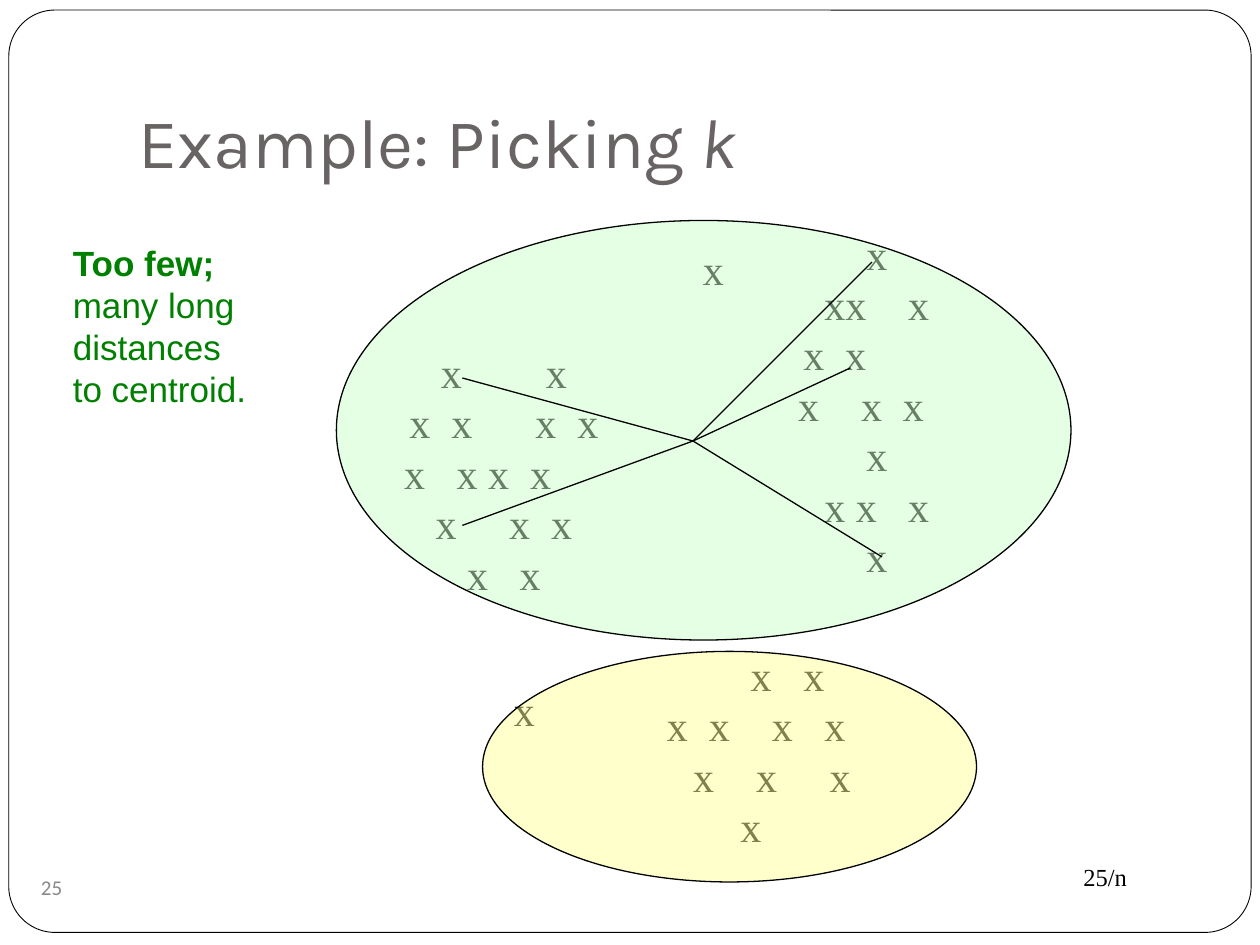
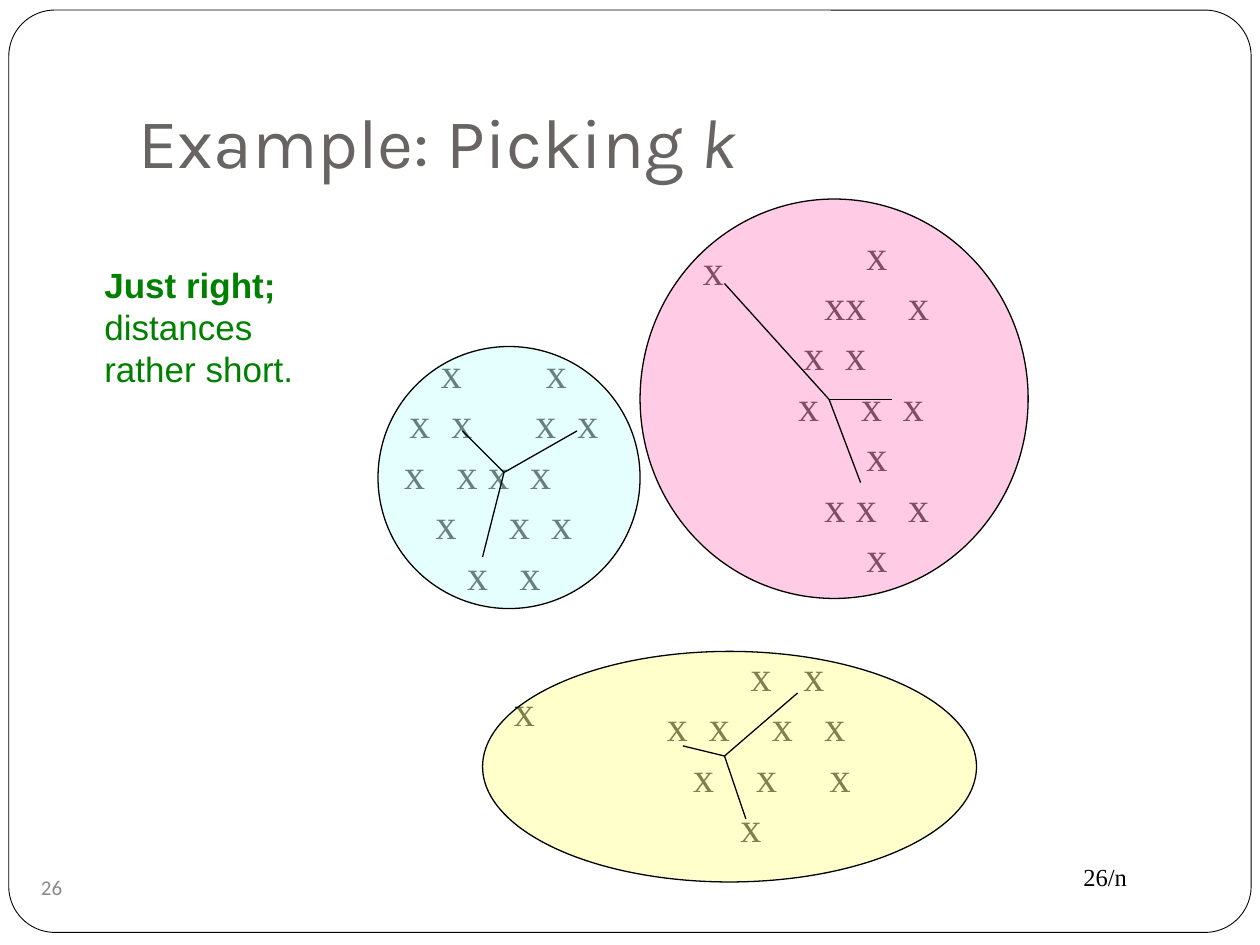
import dataclasses

import lxml.etree
import pptx
import pptx.dml.color
import pptx.enum.shapes
import pptx.enum.text
import pptx.oxml.ns
import pptx.util

Inches = pptx.util.Inches
Pt = pptx.util.Pt
qn = pptx.oxml.ns.qn
Shape = pptx.enum.shapes.MSO_SHAPE
Align = pptx.enum.text.PP_ALIGN
Anchor = pptx.enum.text.MSO_ANCHOR


@dataclasses.dataclass(frozen=True)
class Theme:
    ink: str = "000000"
    title: str = "696464"
    number: str = "898989"
    caption: str = "008000"
    green: str = "CCFFCC"
    yellow: str = "FFFF99"
    cyan: str = "CCFFFF"
    pink: str = "FF99CC"
    title_font: str = "Karla"
    caption_font: str = "Arial"
    number_font: str = "Calibri"
    mark_font: str = "Times New Roman"
    title_size: int = 40
    mark_size: int = 24
    caption_size: int = 20
    page_size: int = 14
    number_size: int = 12
    outline: float = 0.75
    frame_line: float = 0.5
    leading: float = 1.2


THEME = Theme()

# Mark columns count from the left of the cluster, in widths of one space.
COLUMN = 1 / 12
MARK_COLUMNS = 2
CLUSTERS = [
    ((3, 2.5, 2, 2.5),
     [(6, 16), (3, 7, 15, 19), (2.5, 7.5, 10.5, 14.5), (5.5, 12.5, 16.5),
      (8.5, 13.5)]),
    ((6, 1.67, 1.92, 3.08),
     [(10.5,), (6.5, 8.5, 14.5), (4.5, 8.5), (4, 10, 14), (10.5,),
      (6.5, 9.5, 14.5), (10.5,)]),
    ((5, 5.08, 2.08, 1.75),
     [(11.5, 16.5), (3.5, 7.5, 13.5, 18.5), (6, 12, 19), (10.5,)]),
]
OUTLIERS = [(5.48, 1.88), (3.98, 5.38)]
LOWER_GROUP = (3.83, 5.17, 3.92, 1.83)


def color(value):
    return pptx.dml.color.RGBColor.from_string(value)


class Deck:
    def __init__(self, theme):
        self.theme = theme
        self.presentation = pptx.Presentation()
        self.presentation.slide_width = Inches(10)
        self.presentation.slide_height = Inches(7.5)
        self.slide = None

    def start_slide(self, number):
        theme = self.theme
        layout = self.presentation.slide_layouts[5]
        self.slide = self.presentation.slides.add_slide(layout)
        self.frame()
        self.title("Example: Picking ", "k")
        self.text((8.5, 6.79, 1, 0.34), [f"{number}/n"], theme.mark_font,
                  theme.page_size, theme.ink)
        self.text((0.16, 6.79, 0.5, 0.5), [str(number)], theme.number_font,
                  theme.number_size, theme.number, Align.CENTER,
                  Anchor.MIDDLE, inset=0)

    def place(self, kind, box, line_width):
        shape = self.slide.shapes.add_shape(kind, *map(Inches, box))
        shape.shadow.inherit = False
        shape.line.color.rgb = color(self.theme.ink)
        shape.line.width = Pt(line_width)
        return shape

    def frame(self):
        border = self.place(Shape.ROUNDED_RECTANGLE, (0.07, 0.08, 9.86, 7.32),
                            self.theme.frame_line)
        border.adjustments[0] = 0.05
        border.fill.background()

    def title(self, words, symbol):
        """Fill the title; the symbol at its end is italic."""
        heading = self.slide.shapes.title
        heading.left, heading.top = Inches(1), Inches(0.3)
        heading.width, heading.height = Inches(8.5), Inches(1.25)
        frame = heading.text_frame
        frame.auto_size = pptx.enum.text.MSO_AUTO_SIZE.NONE
        frame.word_wrap = True
        frame.vertical_anchor = Anchor.BOTTOM
        frame.margin_bottom = Inches(0.1)
        frame.text = words
        line = frame.paragraphs[0]
        line.alignment = Align.LEFT
        line.add_run().text = symbol
        line.runs[-1].font.italic = True
        self.format(line, self.theme.title_font, self.theme.title_size,
                    self.theme.title)

    def format(self, paragraph, font, size, ink):
        for run in paragraph.runs:
            run.font.name = font
            run.font.size = Pt(size)
            run.font.color.rgb = color(ink)

    def text(self, box, lines, font, size, ink, align=Align.LEFT,
             anchor=Anchor.TOP, inset=None):
        frame = self.slide.shapes.add_textbox(*map(Inches, box)).text_frame
        frame.word_wrap = True
        frame.vertical_anchor = anchor
        if inset is not None:
            frame.margin_left = frame.margin_right = Inches(inset)
            frame.margin_top = frame.margin_bottom = Inches(inset)
        frame.text = "\n".join(lines)
        for paragraph in frame.paragraphs:
            paragraph.alignment = align
            paragraph.line_spacing = Pt(size * self.theme.leading)
            self.format(paragraph, font, size, ink)
        return frame.paragraphs

    def marks(self, box, lines, **options):
        return self.text(box, lines, self.theme.mark_font,
                         self.theme.mark_size, self.theme.ink, **options)

    def cluster(self, box, rows):
        """Write rows of marks, each standing on a tab stop at its column."""
        stops, lines = [], []
        for row in rows:
            ends = [0] + [column + MARK_COLUMNS for column in row]
            spaced = [column > end for column, end in zip(row, ends)]
            stops.append([c for c, apart in zip(row, spaced) if apart])
            lines.append("".join("\tx" if apart else "x" for apart in spaced))
        paragraphs = self.marks(box, lines, anchor=Anchor.MIDDLE, inset=0)
        for paragraph, columns in zip(paragraphs, stops):
            properties = paragraph._p.get_or_add_pPr()
            tabs = lxml.etree.SubElement(properties, qn("a:tabLst"))
            for column in columns:
                lxml.etree.SubElement(tabs, qn("a:tab"), algn="l",
                                      pos=str(Inches(column * COLUMN)))

    def points(self):
        for box, rows in CLUSTERS:
            self.cluster(box, rows)
        for left, top in OUTLIERS:
            self.marks((left, top, 0.37, 0.5), ["x"])

    def group(self, box, tint):
        """Cover a group of points with a half-transparent ellipse."""
        ellipse = self.place(Shape.OVAL, box, self.theme.outline)
        ellipse.fill.solid()
        ellipse.fill.fore_color.rgb = color(tint)
        fill = ellipse._element.spPr.find(qn("a:solidFill"))
        lxml.etree.SubElement(fill[0], qn("a:alpha"), val="50000")

    def spokes(self, centroid, ends):
        for end in ends:
            spoke = self.slide.shapes.add_connector(
                pptx.enum.shapes.MSO_CONNECTOR.STRAIGHT,
                *map(Inches, centroid + end))
            spoke.line.color.rgb = color(self.theme.ink)
            spoke.line.width = Pt(self.theme.outline)
            lxml.etree.SubElement(spoke._element.spPr, qn("a:effectLst"))

    def caption(self, box, lines):
        paragraphs = self.text(box, lines, self.theme.caption_font,
                               self.theme.caption_size, self.theme.caption)
        paragraphs[0].runs[0].font.bold = True

    def picking_slide(self, number, groups, centroids, caption_box, caption):
        self.start_slide(number)
        self.points()
        for box, tint in groups:
            self.group(box, tint)
        for centroid, ends in centroids.items():
            self.spokes(centroid, ends)
        self.caption(caption_box, caption)


def main():
    deck = Deck(THEME)
    deck.picking_slide(
        25,
        [((2.67, 1.75, 5.83, 3.33), THEME.green),
         (LOWER_GROUP, THEME.yellow)],
        {(5.5, 3.5): [(3.67, 3), (3.67, 4.17), (7, 4.42), (6.75, 2.92),
                      (6.92, 2.08)]},
        (0.48, 1.87, 1.8, 1.45),
        ["Too few;", "many long", "distances", "to centroid."])
    deck.picking_slide(
        26,
        [(LOWER_GROUP, THEME.yellow),
         ((3, 2.75, 2.08, 2.08), THEME.cyan),
         ((5.08, 1.58, 3.08, 3.17), THEME.pink)],
        {(4, 3.75): [(3.67, 3.42), (4.58, 3.42), (3.83, 4.42)],
         (5.75, 6): [(5.42, 5.92), (6.33, 5.5), (5.92, 6.5)],
         (6.58, 3.17): [(5.75, 2.25), (7.08, 3.17), (6.83, 3.83)]},
        (0.73, 2.04, 1.9, 1.11),
        ["Just right;", "distances", "rather short."])
    deck.presentation.save("out.pptx")


if __name__ == "__main__":
    main()
